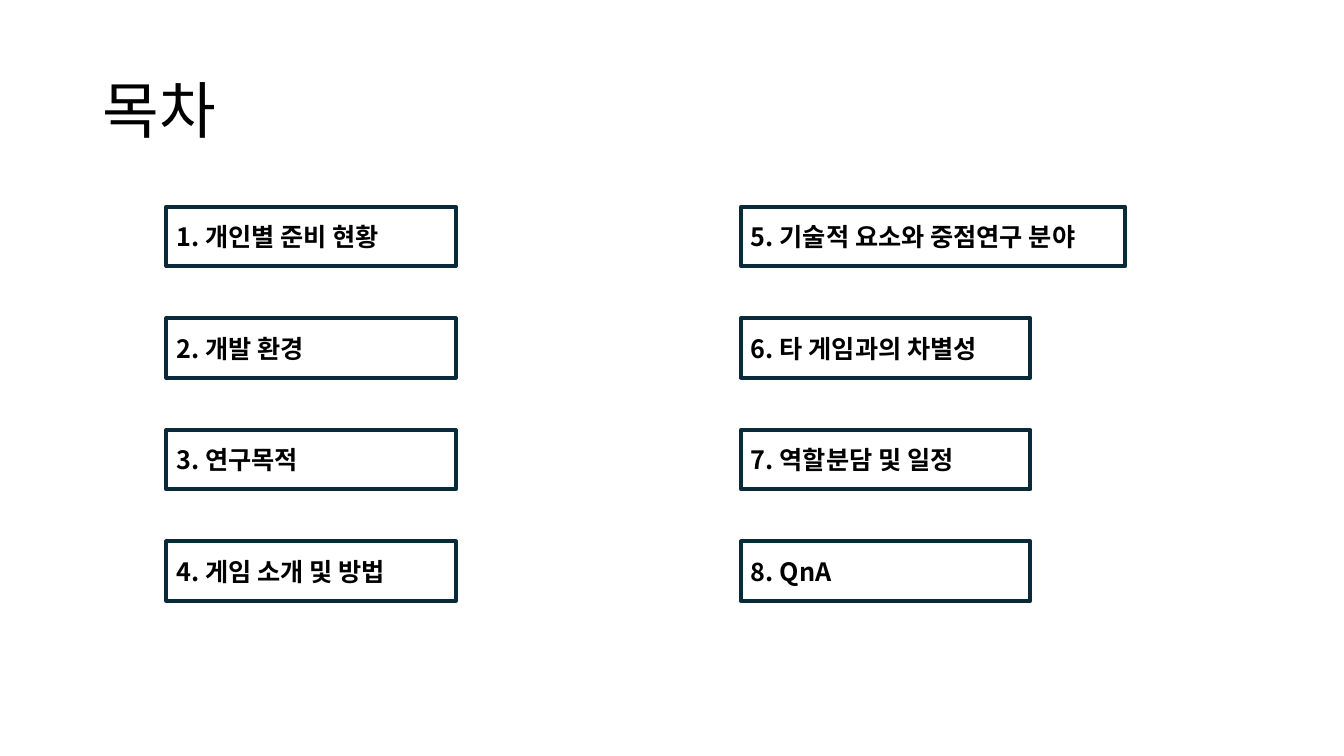
from lxml import etree
from pptx import Presentation
from pptx import util as u
from pptx.dml.color import RGBColor
from pptx.enum import shapes, text
from pptx.oxml.ns import qn

FONT = "Noto Sans CJK KR"
INK = "000000"
EDGE = "092A39"
LEFT = ["1. 개인별 준비 현황", "2. 개발 환경", "3. 연구목적", "4. 게임 소개 및 방법"]
RIGHT = ["5. 기술적 요소와 중점연구 분야", "6. 타 게임과의 차별성",
         "7. 역할분담 및 일정", "8. QnA"]


def color(code):
    return RGBColor.from_string(code)


def write(shape, words, size=18, bold=False, space=1.0):
    frame = shape.text_frame
    frame.word_wrap = True
    frame.vertical_anchor = text.MSO_ANCHOR.MIDDLE
    para = frame.paragraphs[0]
    para.alignment = text.PP_ALIGN.LEFT
    para.line_spacing = space
    run = para.add_run()
    run.text = words
    font = run.font
    font.size, font.bold = u.Pt(size), bold
    font.color.rgb = color(INK)
    font.name = FONT
    # Korean letters take the East Asian font
    etree.SubElement(run._r.get_or_add_rPr(), qn("a:ea"), typeface=FONT)


def title(slide, words, x, y, w, h):
    box = slide.shapes.add_textbox(*map(u.Inches, (x, y, w, h)))
    write(box, words, size=44, space=0.9)


def item(slide, words, x, y, w, h):
    box = slide.shapes.add_shape(shapes.MSO_SHAPE.RECTANGLE,
                                 *map(u.Inches, (x, y, w, h)))
    box.shadow.inherit = False
    box.fill.background()
    box.line.color.rgb = color(EDGE)
    box.line.width = u.Pt(2.75)
    write(box, words, bold=True)


def column(slide, items, x, y, widths, h=0.59, step=1.107):
    for row, (words, w) in enumerate(zip(items, widths)):
        item(slide, words, x, y + row * step, w, h)


def main():
    deck = Presentation()
    deck.slide_width, deck.slide_height = u.Inches(13.33), u.Inches(7.5)
    slide = deck.slides.add_slide(deck.slide_layouts[6])

    # Heading
    title(slide, "목차", 0.92, 0.4, 11.5, 1.45)

    # Two columns of contents
    column(slide, LEFT, 1.65, 2.05, [2.87] * 4)
    column(slide, RIGHT, 7.35, 2.05, [3.81] + [2.87] * 3)

    deck.save("out.pptx")


if __name__ == "__main__":
    main()
